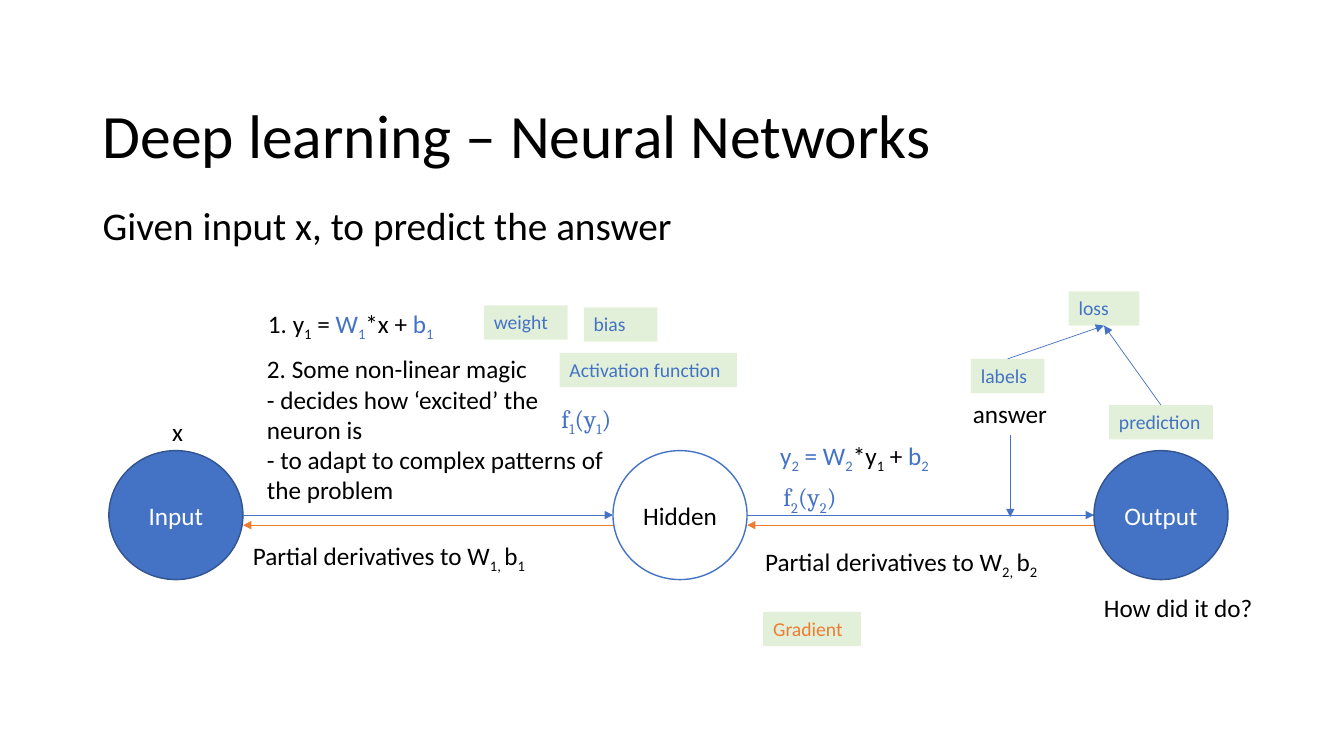
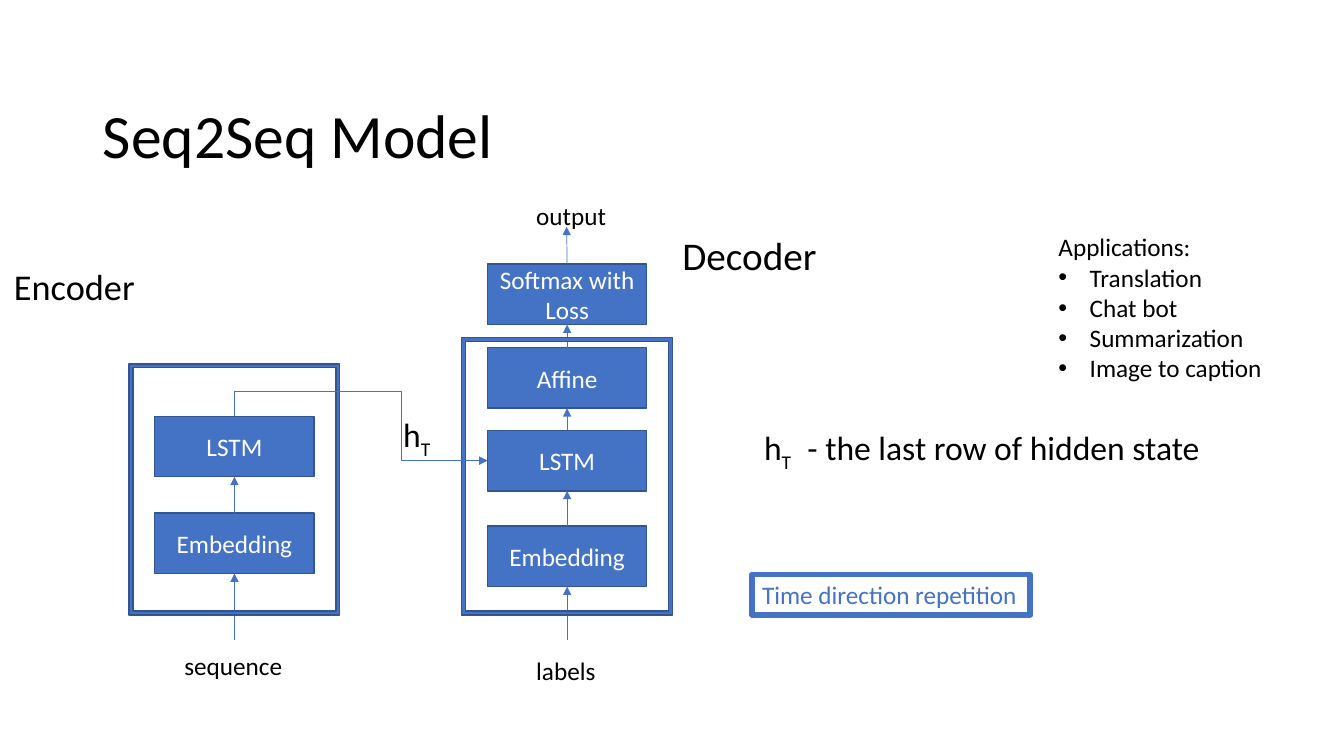
from lxml import etree
from pptx import Presentation
from pptx.dml.color import RGBColor
from pptx.enum.shapes import MSO_CONNECTOR, MSO_SHAPE
from pptx.enum.text import MSO_ANCHOR, MSO_AUTO_SIZE, PP_ALIGN
from pptx.oxml.ns import qn
from pptx.util import Inches, Pt

BLACK = RGBColor(0x00, 0x00, 0x00)
WHITE = RGBColor(0xFF, 0xFF, 0xFF)
BLUE = RGBColor(0x44, 0x72, 0xC4)
DARK_BLUE = RGBColor(0x32, 0x54, 0x91)
ORANGE = RGBColor(0xED, 0x7D, 0x31)
PALE_GREEN = RGBColor(0xE2, 0xF0, 0xD9)

TITLE_BOX = (0.92, 0.64, 11.5, 1.46)
TITLE_ONLY = 5
TOP, LEFT, BOTTOM = 0, 1, 2
SUB = {"sub": True}
BLUE_SUB = {"sub": True, "color": BLUE}
BLUE_TEXT = {"color": BLUE}
MATH = {"color": BLUE, "name": "Cambria"}
MATH_SUB = {**MATH, "sub": True}


def inches(*lengths):
    return [Inches(length) for length in lengths]


def write(paragraph, pieces, size=18, color=BLACK):
    """Add runs; pieces is a string or a list of strings and (text, format) pairs."""
    for piece in [pieces] if isinstance(pieces, str) else pieces:
        text, changes = (piece, {}) if isinstance(piece, str) else piece
        if text == "\n":
            paragraph.add_line_break()
            continue
        look = {"size": Pt(size), "name": "Calibri", "color": color, **changes}
        lowered = look.pop("sub", False)
        run = paragraph.add_run()
        run.text = text
        run.font.color.rgb = look.pop("color")
        for attribute, value in look.items():
            setattr(run.font, attribute, value)
        if lowered:
            run._r.get_or_add_rPr().set("baseline", "-25000")


def add_text(slide, box, *paragraphs, wrap=False, spacing=None, **look):
    label = slide.shapes.add_textbox(*inches(*box))
    frame = label.text_frame
    frame.word_wrap = wrap
    frame.auto_size = MSO_AUTO_SIZE.NONE if spacing else MSO_AUTO_SIZE.SHAPE_TO_FIT_TEXT
    for index, pieces in enumerate(paragraphs):
        paragraph = frame.add_paragraph() if index else frame.paragraphs[0]
        paragraph.line_spacing = spacing
        write(paragraph, pieces, **look)
    return label


def add_filled(slide, kind, box, fill, line=None):
    shape = slide.shapes.add_shape(kind, *inches(*box))
    shape.shadow.inherit = False
    shape.fill.solid()
    shape.fill.fore_color.rgb = fill
    if line is None:
        shape.line.fill.background()
    else:
        shape.line.color.rgb = line
        shape.line.width = Pt(1)
    return shape


def add_node(slide, kind, box, text, fill=BLUE, line=DARK_BLUE, color=WHITE):
    node = add_filled(slide, kind, box, fill, line)
    frame = node.text_frame
    frame.word_wrap = True
    frame.vertical_anchor = MSO_ANCHOR.MIDDLE
    frame.paragraphs[0].alignment = PP_ALIGN.CENTER
    write(frame.paragraphs[0], text, color=color)
    return node


def add_tag(slide, left, top, width, text, color=BLUE):
    tag = add_filled(slide, MSO_SHAPE.RECTANGLE, (left, top, width, 0.34), PALE_GREEN)
    frame = tag.text_frame
    frame.word_wrap = True
    frame.vertical_anchor = MSO_ANCHOR.TOP
    frame.paragraphs[0].alignment = PP_ALIGN.LEFT
    write(frame.paragraphs[0], text, size=14, color=color)
    return tag


def add_arrow(slide, start, end, color=BLUE, kind=MSO_CONNECTOR.STRAIGHT):
    """Each end is an (x, y) point in inches or a (shape, side) pair."""
    joined = [not isinstance(tip[0], (int, float)) for tip in (start, end)]
    points = [(0, 0) if is_joined else inches(*tip)
              for tip, is_joined in zip((start, end), joined)]
    arrow = slide.shapes.add_connector(kind, *points[0], *points[1])
    if joined[0]:
        arrow.begin_connect(*start)
    if joined[1]:
        arrow.end_connect(*end)
    arrow.line.color.rgb = color
    arrow.line.width = Pt(0.5)
    etree.SubElement(arrow.line._get_or_add_ln(), qn("a:tailEnd"), type="triangle")
    etree.SubElement(arrow._element.spPr, qn("a:effectLst"))
    return arrow


def add_state_arrow(slide, source, target):
    """Arrow that rises out of source, then drops to the left side of target."""
    arrow = add_arrow(slide, (source, TOP), (target, LEFT), kind=MSO_CONNECTOR.ELBOW)
    across, down = arrow.width, arrow.height
    middle_x, middle_y = arrow.left + across // 2, arrow.top + down // 2
    arrow.left, arrow.top = middle_x - down // 2, middle_y - across // 2
    arrow.width, arrow.height = down, across
    properties = arrow._element.spPr
    transform = properties.find(qn("a:xfrm"))
    transform.set("rot", "16200000")
    transform.set("flipH", "1")
    geometry = properties.find(qn("a:prstGeom"))
    geometry.set("prst", "bentConnector4")
    guides = geometry.find(qn("a:avLst"))
    if guides is None:
        guides = etree.SubElement(geometry, qn("a:avLst"))
    for name, value in (("adj1", -56700), ("adj2", 65800)):
        etree.SubElement(guides, qn("a:gd"), name=name, fmla=f"val {value}")


def add_titled_slide(deck, text):
    slide = deck.slides.add_slide(deck.slide_layouts[TITLE_ONLY])
    title = slide.shapes.title
    title.left, title.top, title.width, title.height = inches(*TITLE_BOX)
    frame = title.text_frame
    frame.word_wrap = True
    frame.auto_size = MSO_AUTO_SIZE.NONE
    frame.vertical_anchor = MSO_ANCHOR.MIDDLE
    paragraph = frame.paragraphs[0]
    paragraph.alignment = PP_ALIGN.LEFT
    paragraph.line_spacing = 0.9
    write(paragraph, text, size=44)
    return slide


def add_network(slide, left, top):
    """Three layers with forward and backward arrows."""
    width, height = 1.33, 1.28
    starts = [left, left + 5, left + 9.77]
    outlined = {"fill": WHITE, "line": BLUE, "color": BLACK}
    for x, text, look in zip(starts, ("Input", "Hidden", "Output"), ({}, outlined, {})):
        add_node(slide, MSO_SHAPE.OVAL, (x, top, width, height), text, **look)
    for x, following in zip(starts, starts[1:]):
        forward, backward = top + height / 2, top + 0.74
        add_arrow(slide, (x + width, forward), (following, forward))
        add_arrow(slide, (following, backward), (x + width, backward), ORANGE)
    add_text(slide, (left + 0.53, top - 0.39, 0.31, 0.4), "x")
    for layer, dx, dy, box_width in (("1", 1.33, 0.84, 3.17), ("2", 6.41, 0.9, 3.05)):
        add_text(slide, (left + dx, top + dy, box_width, 0.4),
                 ["Partial derivatives to W", (layer + ", ", SUB), "b", (layer, SUB)],
                 wrap=True)
    add_tag(slide, left + 6.49, top + 1.6, 0.97, "Gradient", ORANGE)


def add_activation(slide, left, top, layer):
    add_text(slide, (left, top, 0.75, 0.4),
             [("f", MATH), (layer, MATH_SUB), ("(y", MATH), (layer, MATH_SUB), (")", MATH)])


def add_first_layer_notes(slide, left, top):
    add_text(slide, (left + 0.01, top, 1.9, 0.4),
             ["1. y", ("1", SUB), " = ", ("W", BLUE_TEXT), ("1", BLUE_SUB),
              "*x + ", ("b", BLUE_TEXT), ("1", BLUE_SUB)])
    add_text(slide, (left, top + 0.45, 3.67, 1.62),
             ["2. Some non-linear magic", "\n", "- decides how ‘excited’ the neuron is"],
             "- to adapt to complex patterns of the problem", wrap=True)
    add_tag(slide, left + 3, top + 0.49, 1.76, "Activation function")
    add_tag(slide, left + 2.25, top + 0.02, 0.83, "weight")
    add_tag(slide, left + 3.24, top + 0.04, 0.73, "bias")
    add_activation(slide, left + 2.92, top + 0.94, "1")


def add_second_layer_notes(slide, left, top):
    add_text(slide, (left, top, 1.74, 0.4),
             [("y", BLUE_TEXT), ("2", BLUE_SUB), (" = W", BLUE_TEXT), ("2", BLUE_SUB),
              "*y", ("1", SUB), " + ", ("b", BLUE_TEXT), ("2", BLUE_SUB)])
    add_activation(slide, left + 0.03, top + 0.41, "2")


def add_loss(slide, left, top):
    loss = add_tag(slide, left + 1.05, top, 0.7, "loss")
    labels = add_tag(slide, left + 0.08, top + 0.67, 0.73, "labels")
    prediction = add_tag(slide, left + 1.45, top + 1.13, 1.03, "prediction")
    for compared in (labels, prediction):
        add_arrow(slide, (compared, TOP), (loss, BOTTOM))
    add_text(slide, (left, top + 1.01, 0.95, 0.4), "answer")
    add_arrow(slide, (left + 0.47, top + 1.43), (left + 0.47, top + 2.24))
    add_text(slide, (left + 1.3, top + 2.94, 1.7, 0.4), "How did it do?")


def add_stack(slide, box, layers):
    """Framed column of layers, listed bottom up as (text, offset from box top)."""
    left, top, width, height = box
    middle = left + width / 2
    blocks = [add_node(slide, MSO_SHAPE.RECTANGLE,
                       (middle - 0.79, top + offset, 1.58, 0.6), text)
              for text, offset in layers]
    add_arrow(slide, (middle, top + height + 0.25), (blocks[0], BOTTOM))
    for lower, upper in zip(blocks, blocks[1:]):
        add_arrow(slide, (lower, TOP), (upper, BOTTOM))
    frame = add_filled(slide, MSO_SHAPE.FRAME, box, BLUE, DARK_BLUE)
    frame.adjustments[0] = 0.018
    return blocks


def add_encoder(slide, left, top):
    blocks = add_stack(slide, (left, top, 2.09, 2.49), [("Embedding", 1.48), ("LSTM", 0.52)])
    add_text(slide, (left - 1.24, top - 0.99, 1.49, 0.49), "Encoder",
             wrap=True, spacing=0.9, size=25.9)
    add_text(slide, (left + 0.45, top + 2.79, 1.19, 0.4), "sequence")
    return blocks[-1]


def add_decoder(slide, left, top):
    blocks = add_stack(slide, (left, top, 2.09, 2.75),
                       [("Embedding", 1.87), ("LSTM", 0.92), ("Affine", 0.1),
                        ("Softmax with Loss", -0.73)])
    add_arrow(slide, (blocks[-1], TOP), (left + 1.04, top - 1.1))
    add_text(slide, (left + 2.09, top - 1.01, 1.74, 0.49), "Decoder",
             wrap=True, spacing=0.8, size=28)
    add_text(slide, (left + 0.64, top + 3.1, 0.8, 0.4), "labels")
    add_text(slide, (left + 0.64, top - 1.41, 0.9, 0.4), "output")
    return blocks[1]


def add_applications(slide, left, top):
    uses = ("Translation", "Chat bot", "Summarization", "Image to caption")
    label = add_text(slide, (left, top, 2.24, 1.62), "Applications:", *uses)
    indent = Inches(0.31)
    for paragraph in label.text_frame.paragraphs[1:]:
        properties = paragraph._p.get_or_add_pPr()
        properties.set("marL", str(indent))
        properties.set("indent", str(-indent))
        etree.SubElement(properties, qn("a:buFont"), typeface="Arial")
        etree.SubElement(properties, qn("a:buChar"), char="•")


def add_legend(slide, left, top):
    meaning = add_text(slide, (left + 0.02, top, 4.8, 0.5),
                       ["h", ("T", SUB), "\t- the last row of hidden state"],
                       wrap=True, size=24)
    properties = meaning.text_frame.paragraphs[0]._p.get_or_add_pPr()
    stops = etree.SubElement(properties, qn("a:tabLst"))
    etree.SubElement(stops, qn("a:tab"), pos=str(Inches(0.43)), algn="l")
    repetition = add_text(slide, (left, top + 1.51, 2.76, 0.4),
                          "Time direction repetition", color=BLUE)
    repetition.line.color.rgb = BLUE
    repetition.line.width = Pt(4.25)


def build_network_slide(deck):
    slide = add_titled_slide(deck, "Deep learning – Neural Networks")
    add_text(slide, (0.92, 2, 8.56, 0.63), "Given input x, to predict the answer",
             wrap=True, spacing=0.9, size=28)
    add_network(slide, 1.08, 4.47)
    add_first_layer_notes(slide, 2.55, 3.01)
    add_second_layer_notes(slide, 7.64, 4.32)
    add_loss(slide, 9.55, 2.89)


def build_seq2seq_slide(deck):
    slide = add_titled_slide(deck, "Seq2Seq Model")
    encoder_lstm = add_encoder(slide, 1.28, 3.61)
    decoder_lstm = add_decoder(slide, 4.58, 3.35)
    add_state_arrow(slide, encoder_lstm, decoder_lstm)
    add_text(slide, (3.9, 4.06, 0.49, 0.5), ["h", ("T", SUB)], size=24)
    add_applications(slide, 10.4, 2.25)
    add_legend(slide, 7.46, 4.19)


def main():
    deck = Presentation()
    deck.slide_width, deck.slide_height = inches(13.33, 7.5)
    build_network_slide(deck)
    build_seq2seq_slide(deck)
    deck.save("out.pptx")


if __name__ == "__main__":
    main()
